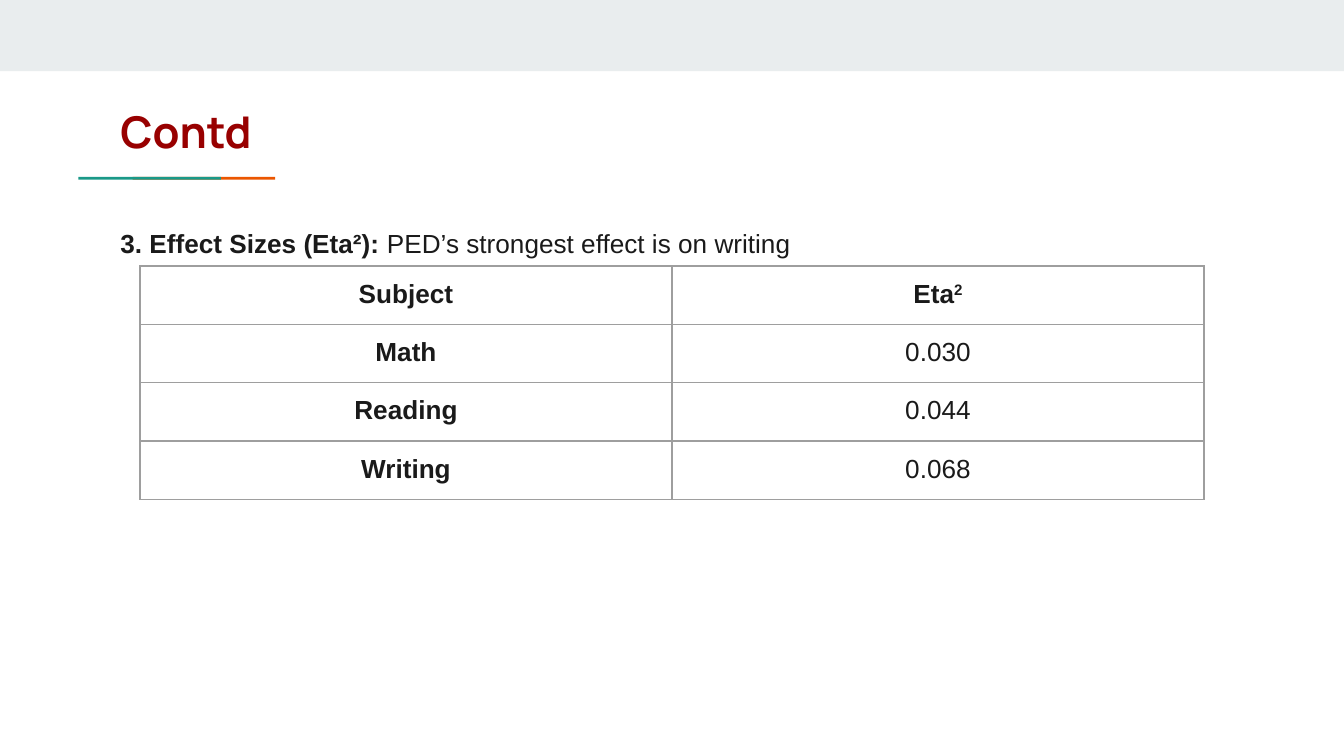
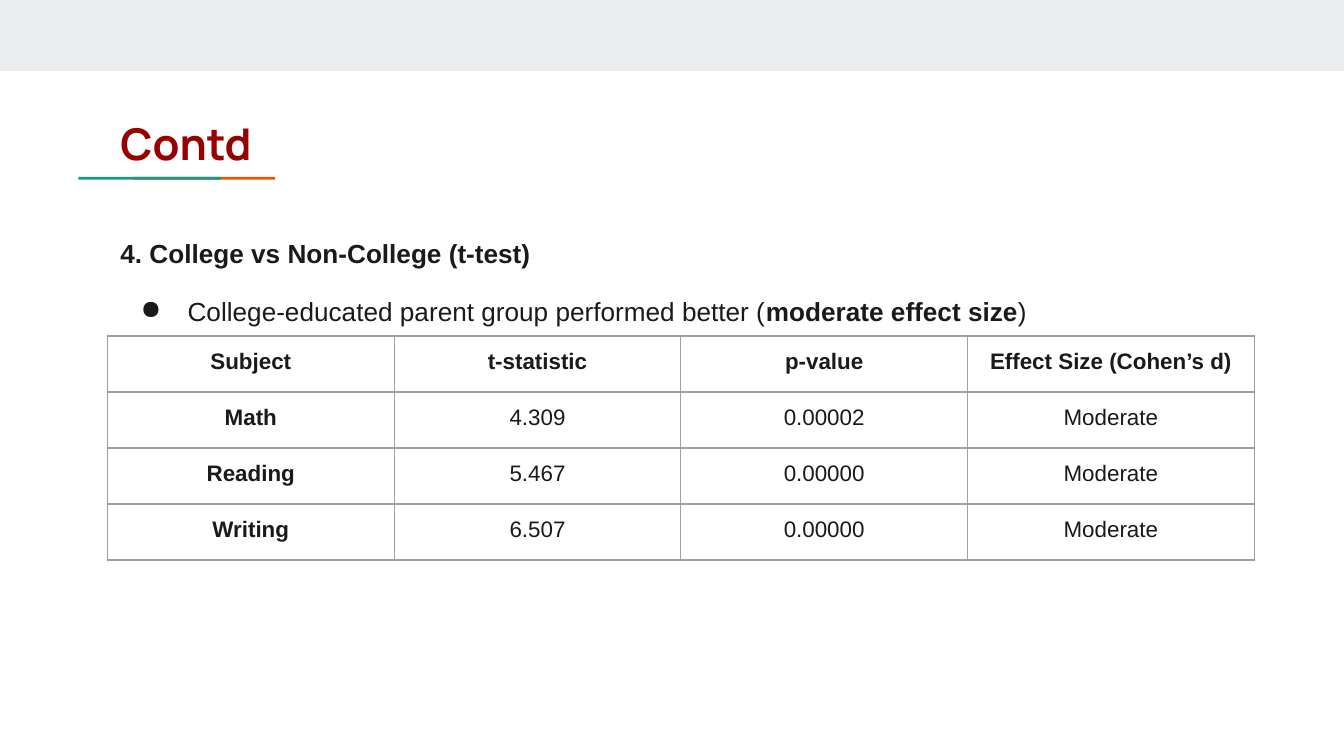
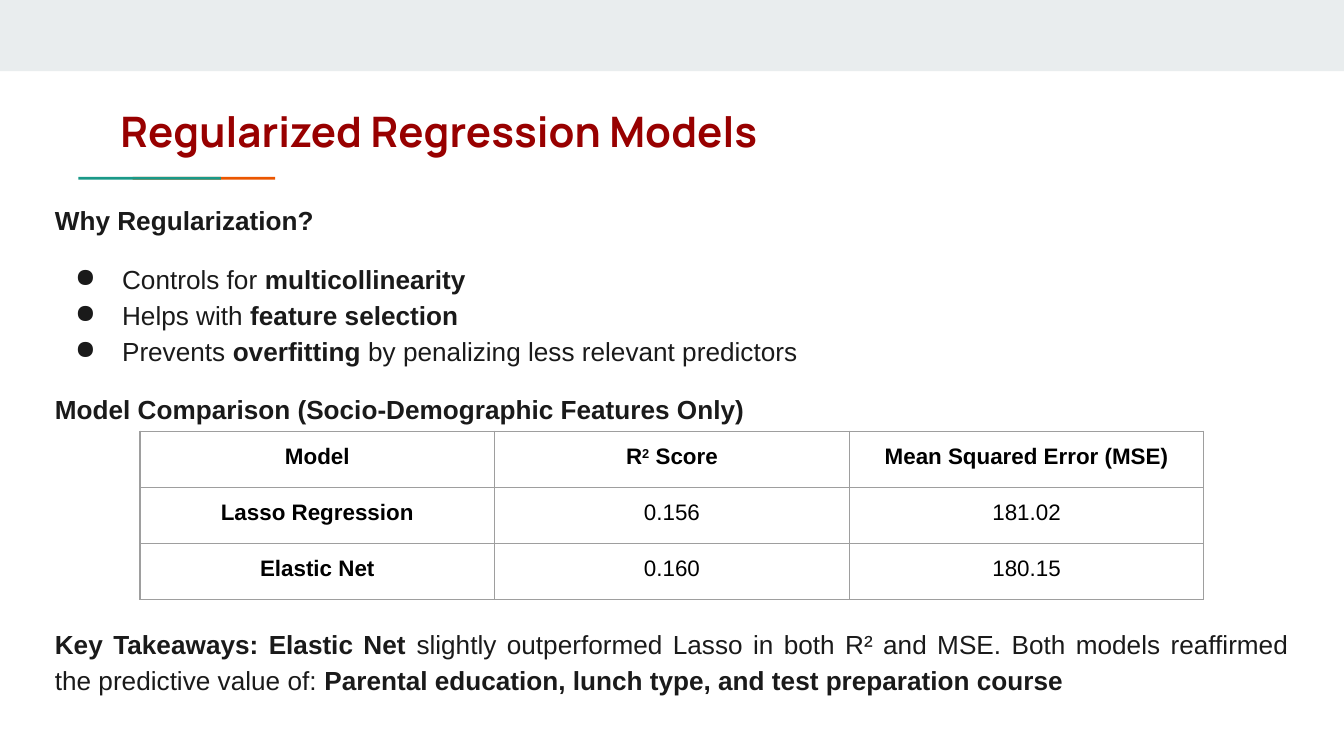
from lxml.etree import SubElement
from pptx import Presentation
from pptx.dml.color import RGBColor
from pptx.enum.shapes import MSO_SHAPE as Shape
from pptx.enum.text import MSO_ANCHOR as Anchor, PP_ALIGN as Align
from pptx.oxml.ns import qn
from pptx.util import Pt

COLORS = {
    "band": "E9EDEE",
    "orange": "EB5600",
    "teal": "1A9988",
    "title": "980000",
    "body": "1A1A1A",
    "black": "000000",
    "border": "9E9E9E",
}
SLIDE_BOX = (0, 0, 720, 405)
PADDING = 7.2
ROW_HEIGHT = 30


def rgb(name):
    """Return the named palette colour."""
    return RGBColor.from_string(COLORS[name])


def set_font(font, face, size, color, bold=None):
    """Apply one text style to a font."""
    font.name, font.size, font.bold = face, Pt(size), bold
    font.color.rgb = rgb(color)


def add_bar(slide, color, box):
    """Draw a plain filled rectangle."""
    bar = slide.shapes.add_shape(Shape.RECTANGLE, *map(Pt, box))
    bar.fill.solid()
    bar.fill.fore_color.rgb = rgb(color)
    bar.line.fill.background()
    bar.shadow.inherit = False


def add_frame(slide, box):
    """Add a wrapping text box and return its text frame."""
    frame = slide.shapes.add_textbox(*map(Pt, box)).text_frame
    frame.word_wrap = True
    frame.vertical_anchor = Anchor.TOP
    frame.margin_left = frame.margin_right = Pt(PADDING)
    frame.margin_top = frame.margin_bottom = Pt(PADDING)
    return frame


def add_backdrop(slide, box):
    """Draw the top band and the two-colour rule under the title."""
    left, top, width, _ = box
    add_bar(slide, "band", (left, top, width, 38.2))
    for color, offset in (("orange", 71), ("teal", 42)):
        add_bar(slide, color, (left + offset, top + 94.7, 76.4, 1.5))


def add_title(slide, text, box, size=23.4, spacing=1.0):
    """Write the slide title."""
    paragraph = add_frame(slide, box).paragraphs[0]
    paragraph.add_run().text = text
    paragraph.line_spacing = spacing
    set_font(paragraph.font, "Manrope", size, "title", True)


def add_bullet(paragraph):
    """Give a paragraph a hanging round bullet."""
    props = paragraph._p.get_or_add_pPr()
    props.set("marL", str(Pt(36)))
    props.set("indent", str(-Pt(25.2)))
    color = SubElement(props, qn("a:buClr"))
    SubElement(color, qn("a:srgbClr")).set("val", COLORS["body"])
    SubElement(props, qn("a:buChar")).set("char", "●")


def add_body(slide, lines, box, align=Align.LEFT):
    """Write lines where ** toggles bold, "- " marks a bullet; each has its gap."""
    frame = add_frame(slide, box)
    for index, (text, gap) in enumerate(lines):
        paragraph = frame.add_paragraph() if index else frame.paragraphs[0]
        if text.startswith("- "):
            add_bullet(paragraph)
        paragraph.alignment = align
        paragraph.line_spacing = 1.15
        paragraph.space_before = Pt(gap)
        set_font(paragraph.font, "Arial", 14, "body")
        for position, part in enumerate(text.removeprefix("- ").split("**")):
            if part:
                run = paragraph.add_run()
                run.text = part
                run.font.bold = position % 2 == 1


def add_borders(cell):
    """Draw thin grey lines on all sides of a cell."""
    props = cell._tc.get_or_add_tcPr()
    for side in ("lnL", "lnR", "lnT", "lnB"):
        line = SubElement(props, qn(f"a:{side}"))
        line.set("w", str(Pt(0.75)))
        fill = SubElement(line, qn("a:solidFill"))
        SubElement(fill, qn("a:srgbClr")).set("val", COLORS["border"])


def fill_cell(cell, text, size, color, bold):
    """Write a centred cell where ^ toggles superscript."""
    cell.margin_left = cell.margin_right = Pt(PADDING)
    cell.margin_top = cell.margin_bottom = Pt(PADDING)
    add_borders(cell)
    cell.fill.background()
    paragraph = cell.text_frame.paragraphs[0]
    paragraph.alignment = Align.CENTER
    set_font(paragraph.font, "Arial", size, color, bold)
    for position, part in enumerate(text.split("^")):
        if part:
            run = paragraph.add_run()
            run.text = part
            if position % 2:
                run._r.get_or_add_rPr().set("baseline", "30000")


def add_results(slide, records, corner, width, size=12, color="body"):
    """Add a table of equal columns with bold headings and row names."""
    columns = len(records[0])
    height = ROW_HEIGHT * len(records)
    table = slide.shapes.add_table(
        len(records), columns, *map(Pt, (*corner, width, height))
    ).table
    table.first_row = table.horz_banding = False
    for column in table.columns:
        column.width = Pt(width / columns)
    for r, record in enumerate(records):
        table.rows[r].height = Pt(ROW_HEIGHT)
        for c, text in enumerate(record):
            fill_cell(table.cell(r, c), text, size, color, r == 0 or c == 0)


def build_effect_sizes(slide, box):
    """Build the Eta² slide."""
    left, top, _, _ = box
    add_backdrop(slide, box)
    add_title(slide, "Contd", (left + 57.4, top + 49, 605.5, 42.5))
    heading = "**3. Effect Sizes (Eta²):** PED’s strongest effect is on writing"
    add_body(slide, [(heading, 0)], (left + 57.4, top + 112.3, 605.5, 229))
    records = [
        ("Subject", "Eta^2^"),
        ("Math", "0.030"),
        ("Reading", "0.044"),
        ("Writing", "0.068"),
    ]
    add_results(slide, records, (left + 75, top + 142.5), 570, size=14)


def build_college_test(slide, box):
    """Build the t-test slide."""
    left, top, _, _ = box
    add_backdrop(slide, box)
    add_title(slide, "Contd", (left + 57.4, top + 55.4, 605.5, 42.5))
    lines = [
        ("**4. College vs Non-College (t-test)**", 0),
        ("- College-educated parent group performed better "
         "(**moderate effect size**)", 12),
    ]
    add_body(slide, lines, (left + 57.4, top + 117.4, 605.5, 256))
    records = [
        ("Subject", "t-statistic", "p-value", "Effect Size (Cohen’s d)"),
        ("Math", "4.309", "0.00002", "Moderate"),
        ("Reading", "5.467", "0.00000", "Moderate"),
        ("Writing", "6.507", "0.00000", "Moderate"),
    ]
    add_results(slide, records, (left + 57.6, top + 180), 614.4)


def build_regularization(slide, box):
    """Build the model comparison slide."""
    left, top, _, _ = box
    add_backdrop(slide, box)
    add_title(slide, "Regularized Regression Models",
              (left + 57.4, top + 45.4, 605.5, 42.5), 22.5, 1.15)
    lines = [
        ("**Why Regularization?**", 0),
        ("- Controls for **multicollinearity**", 12),
        ("- Helps with **feature selection**", 0),
        ("- Prevents **overfitting** by penalizing less relevant predictors", 0),
        ("**Model Comparison (Socio-Demographic Features Only)**", 12),
    ]
    add_body(slide, lines, (left + 22.3, top + 100, 675.4, 135))
    records = [
        ("Model", "R^2^ Score", "Mean Squared Error (MSE)"),
        ("Lasso Regression", "0.156", "181.02"),
        ("Elastic Net", "0.160", "180.15"),
    ]
    add_results(slide, records, (left + 75, top + 231), 570, color="black")
    takeaways = (
        "**Key Takeaways: Elastic Net** slightly outperformed Lasso in both R² "
        "and MSE. Both models reaffirmed the predictive value of: "
        "**Parental education, lunch type, and test preparation course**"
    )
    add_body(slide, [(takeaways, 0)], (left + 22.3, top + 326.7, 675.4, 68),
             Align.JUSTIFY)


def main():
    """Build and save the presentation."""
    deck = Presentation()
    deck.slide_width, deck.slide_height = map(Pt, SLIDE_BOX[2:])
    blank = deck.slide_layouts[6]
    for build in (build_effect_sizes, build_college_test, build_regularization):
        build(deck.slides.add_slide(blank), SLIDE_BOX)
    deck.save("out.pptx")


if __name__ == "__main__":
    main()
